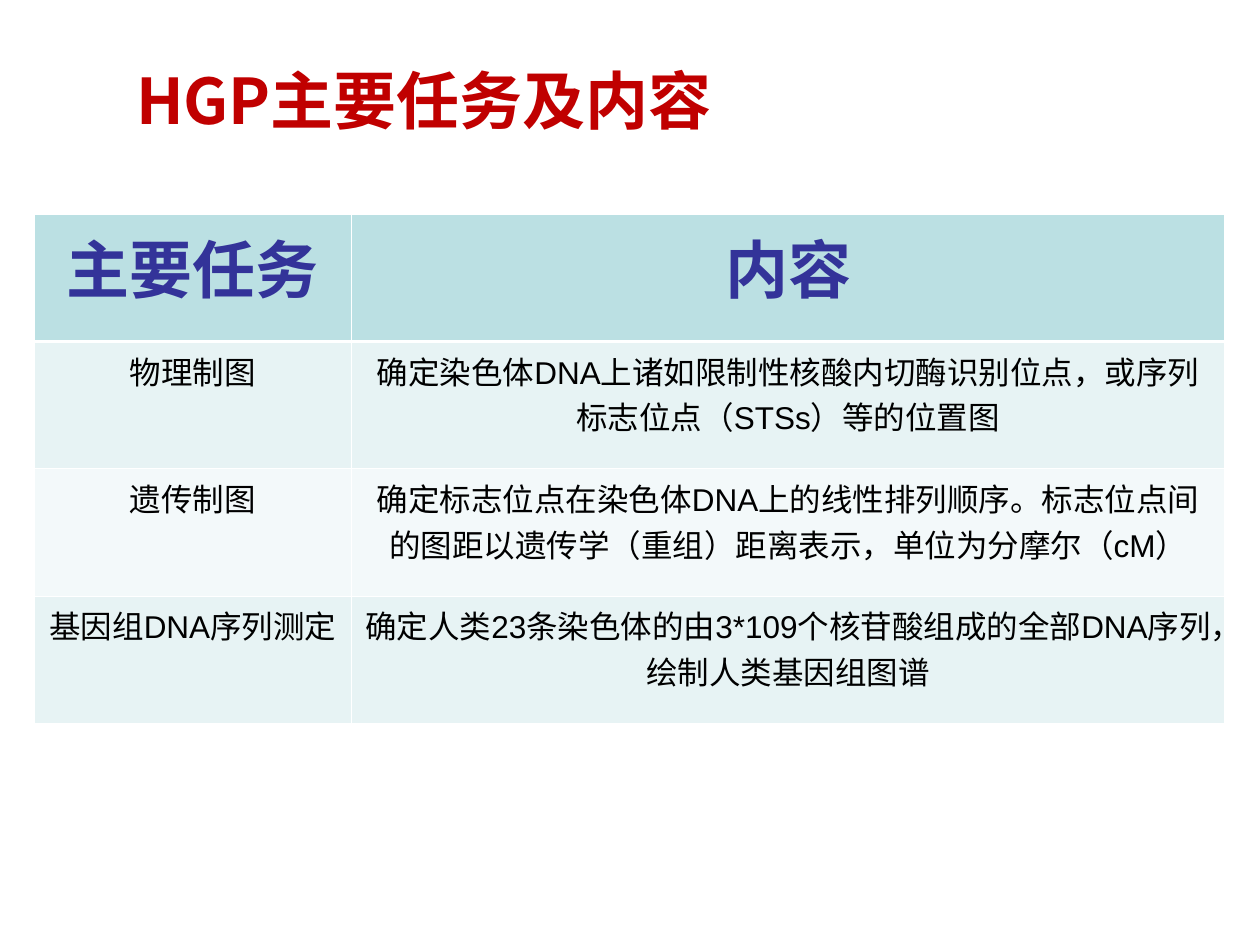
from lxml.etree import SubElement
from pptx import Presentation
from pptx.dml.color import RGBColor
from pptx.enum.text import MSO_ANCHOR, MSO_AUTO_SIZE, PP_ALIGN
from pptx.oxml.ns import qn
from pptx.util import Inches, Pt

CJK_FONT = "Noto Sans CJK SC"
LATIN_FONT = "Arial"
ROWS = [
    ("主要任务", "内容"),
    ("物理制图", "确定染色体DNA上诸如限制性核酸内切酶识别位点，或序列标志位点（STSs）等的位置图"),
    ("遗传制图", "确定标志位点在染色体DNA上的线性排列顺序。标志位点间的图距以遗传学（重组）距离表示，单位为分摩尔（cM）"),
    ("基因组DNA序列测定", "确定人类23条染色体的由3*109个核苷酸组成的全部DNA序列，绘制人类基因组图谱"),
]


def color(value):
    return RGBColor.from_string(value)


class SlideBuilder:
    header_fill = "BBE0E3"
    band_fills = ("E7F3F4", "F3F9FA")
    border = "FFFFFF"

    def __init__(self, page):
        self.page = page

    def style(self, para, size, tint, bold, font, align):
        para.alignment = align
        para.font.size = Pt(size)
        para.font.bold = bold
        para.font.color.rgb = color(tint)
        para.font.name = font
        defaults = para._p.get_or_add_pPr().find(qn("a:defRPr"))
        SubElement(defaults, qn("a:ea"), typeface=CJK_FONT)

    def title(self, text, left, top, width, height):
        box = self.page.shapes.title
        box.left, box.top = Inches(left), Inches(top)
        box.width, box.height = Inches(width), Inches(height)
        frame = box.text_frame
        frame.text = text
        frame.auto_size = MSO_AUTO_SIZE.NONE
        frame.vertical_anchor = MSO_ANCHOR.MIDDLE
        self.style(frame.paragraphs[0], 36, "C00000", True, CJK_FONT, PP_ALIGN.LEFT)

    def cell_borders(self, cell, widths):
        properties = cell._tc.get_or_add_tcPr()
        for position, (side, width) in enumerate(widths.items()):
            line = SubElement(properties, qn(f"a:ln{side}"), w=str(Pt(width)))
            fill = SubElement(line, qn("a:solidFill"))
            SubElement(fill, qn("a:srgbClr"), val=self.border)
            properties.insert(position, line)  # borders come before the fill

    def table(self, rows, left, top, column_widths, row_height):
        frame = self.page.shapes.add_table(
            len(rows), len(column_widths), Inches(left), Inches(top),
            Inches(sum(column_widths)), Inches(row_height * len(rows)))
        table = frame.table
        for column, width in zip(table.columns, column_widths):
            column.width = Inches(width)
        for index, texts in enumerate(rows):
            table.rows[index].height = Inches(row_height)
            header = index == 0
            background = self.header_fill if header else self.band_fills[(index - 1) % 2]
            # The rule under the header is heavier than the others
            borders = {"L": 0.45, "R": 0.45,
                       "T": 1.47 if index == 1 else 0.45,
                       "B": 1.47 if header else 0.45}
            size, tint = (36, "333399") if header else (18, "000000")
            for cell, text in zip(table.rows[index].cells, texts):
                cell.text = text
                cell.fill.solid()
                cell.fill.fore_color.rgb = color(background)
                self.cell_borders(cell, borders)
                self.style(cell.text_frame.paragraphs[0], size, tint, header,
                           LATIN_FONT, PP_ALIGN.CENTER)


def main():
    deck = Presentation()
    deck.slide_width, deck.slide_height = Inches(10), Inches(7.5)
    builder = SlideBuilder(deck.slides.add_slide(deck.slide_layouts[5]))

    # Heading
    builder.title("HGP主要任务及内容", 0.98, 0.44, 5.83, 0.7)

    # Tasks and their content
    builder.table(ROWS, 0.27, 1.7, (2.52, 6.93), 1.01)

    deck.save("out.pptx")


if __name__ == "__main__":
    main()
